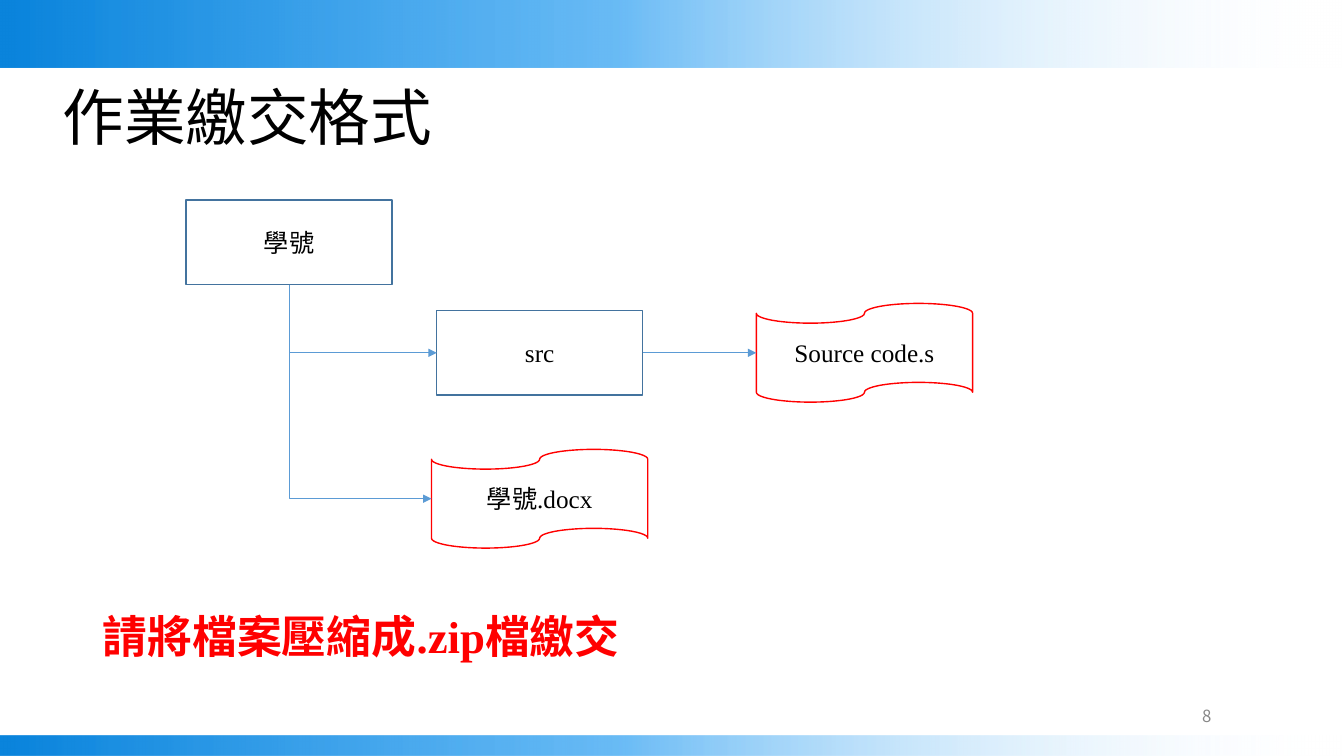
import lxml.etree
import pptx
import pptx.dml.color
import pptx.enum.shapes
import pptx.enum.text
import pptx.oxml
import pptx.oxml.ns
import pptx.util

Pt = pptx.util.Pt
RGBColor = pptx.dml.color.RGBColor
Shape = pptx.enum.shapes.MSO_SHAPE
Align = pptx.enum.text.PP_ALIGN
Anchor = pptx.enum.text.MSO_ANCHOR
qn = pptx.oxml.ns.qn

BLACK = RGBColor(0x00, 0x00, 0x00)
GRAY = RGBColor(0x88, 0x88, 0x88)
RED = RGBColor(0xFF, 0x00, 0x00)
FOLDER_BLUE = RGBColor(0x43, 0x73, 0x9E)
ARROW_BLUE = RGBColor(0x5B, 0x9B, 0xD5)
# Position, colour and opacity, in percent, from the left edge to the right.
BAND_STOPS = [
    (0, RGBColor(0x0A, 0x84, 0xDC), 100),
    (46, RGBColor(0x13, 0x94, 0xF0), 63),
    (100, RGBColor(0xFF, 0xFF, 0xFF), 0),
]
SERIF = "Times New Roman"
WIDTH, HEIGHT = 960, 540


def write_text(shape, text, size, color, align, font=SERIF, bold=False):
    """Put one formatted, vertically centred paragraph in a shape."""
    frame = shape.text_frame
    frame.word_wrap = True
    frame.vertical_anchor = Anchor.MIDDLE
    frame.text = text
    paragraph = frame.paragraphs[0]
    paragraph.alignment = align
    paragraph.font.name = font
    paragraph.font.size = Pt(size)
    paragraph.font.bold = bold
    paragraph.font.color.rgb = color
    return paragraph


presentation = pptx.Presentation()
presentation.slide_width = Pt(WIDTH)
presentation.slide_height = Pt(HEIGHT)
slide = presentation.slides.add_slide(presentation.slide_layouts[5])
shapes = slide.shapes

# Gradient bands at the top and bottom edges
for top, height in [(0, 48.5), (525.6, 14.4)]:
    band = shapes.add_shape(Shape.RECTANGLE, 0, Pt(top), Pt(WIDTH), Pt(height))
    band.shadow.inherit = False
    band.line.fill.background()
    band.fill.gradient()
    band.fill.gradient_angle = 0
    stop_list = band._element.spPr.find(".//" + qn("a:gsLst"))
    for old_stop in list(stop_list):
        stop_list.remove(old_stop)
    for position, color, opacity in BAND_STOPS:
        stop = lxml.etree.SubElement(stop_list, qn("a:gs"), pos=str(position * 1000))
        tint = lxml.etree.SubElement(stop, qn("a:srgbClr"), val=str(color))
        lxml.etree.SubElement(tint, qn("a:alpha"), val=str(opacity * 1000))

# Title
title = shapes.title
title.left, title.top, title.width, title.height = Pt(37.5), Pt(34), Pt(828), Pt(104.4)
title_paragraph = write_text(title, "作業繳交格式", 44, BLACK, Align.LEFT)
title_paragraph.line_spacing = 0.9

# Folders are rectangles, files are punched tapes
FOLDER = (Shape.RECTANGLE, 147, 60.5, FOLDER_BLUE)
FILE = (Shape.FLOWCHART_PUNCHED_TAPE, 154.5, 70.5, RED)
nodes = {}
for name, (preset, width, height, color), center_x, center_y in [
    ("學號", FOLDER, 206.5, 173),
    ("src", FOLDER, 385.5, 252),
    ("學號.docx", FILE, 385.5, 356.25),
    ("Source code.s", FILE, 617.5, 252),
]:
    node = shapes.add_shape(preset, Pt(center_x - width / 2), Pt(center_y - height / 2),
                            Pt(width), Pt(height))
    node.shadow.inherit = False
    node.fill.background()
    node.line.color.rgb = color
    node.line.width = Pt(1)
    write_text(node, name, 18, BLACK, Align.CENTER)
    nodes[name] = node

# Arrows; connection sites: 1 left, 2 bottom, 3 right
LEFT_SITE, BOTTOM_SITE, RIGHT_SITE = 1, 2, 3
for parent, child, site in [
    ("學號", "src", BOTTOM_SITE),
    ("學號", "學號.docx", BOTTOM_SITE),
    ("src", "Source code.s", RIGHT_SITE),
]:
    bent = site == BOTTOM_SITE
    kind = pptx.enum.shapes.MSO_CONNECTOR
    arrow = shapes.add_connector(kind.ELBOW if bent else kind.STRAIGHT, 0, 0, 0, 0)
    arrow.begin_connect(nodes[parent], site)
    arrow.end_connect(nodes[child], LEFT_SITE)
    properties = arrow._element.spPr
    if bent:
        # A single bend, down then right, is a mirrored quarter turn of the preset
        run, drop = arrow.width, arrow.height
        arrow.left += (run - drop) // 2
        arrow.top += (drop - run) // 2
        arrow.width, arrow.height = drop, run
        transform = properties.find(qn("a:xfrm"))
        transform.set("rot", "16200000")
        transform.set("flipH", "1")
        properties.find(qn("a:prstGeom")).set("prst", "bentConnector2")
    arrow.line.color.rgb = ARROW_BLUE
    arrow.line.width = Pt(0.5)
    lxml.etree.SubElement(properties.find(qn("a:ln")), qn("a:tailEnd"), type="triangle")
    lxml.etree.SubElement(properties, qn("a:effectLst"))

# Instruction and slide number
instruction = shapes.add_textbox(Pt(66.25), Pt(431.3), Pt(545), Pt(46))
write_text(instruction, "請將檔案壓縮成.zip檔繳交", 32, RED, Align.LEFT, bold=True)

number = shapes.add_textbox(Pt(843.8), Pt(500.4), Pt(25.2), Pt(21.6))
number_frame = number.text_frame
number_frame.margin_left = number_frame.margin_right = Pt(3.6)
write_text(number, "8", 12, GRAY, Align.RIGHT, font="Noto Sans CJK SC")

presentation.save("out.pptx")
